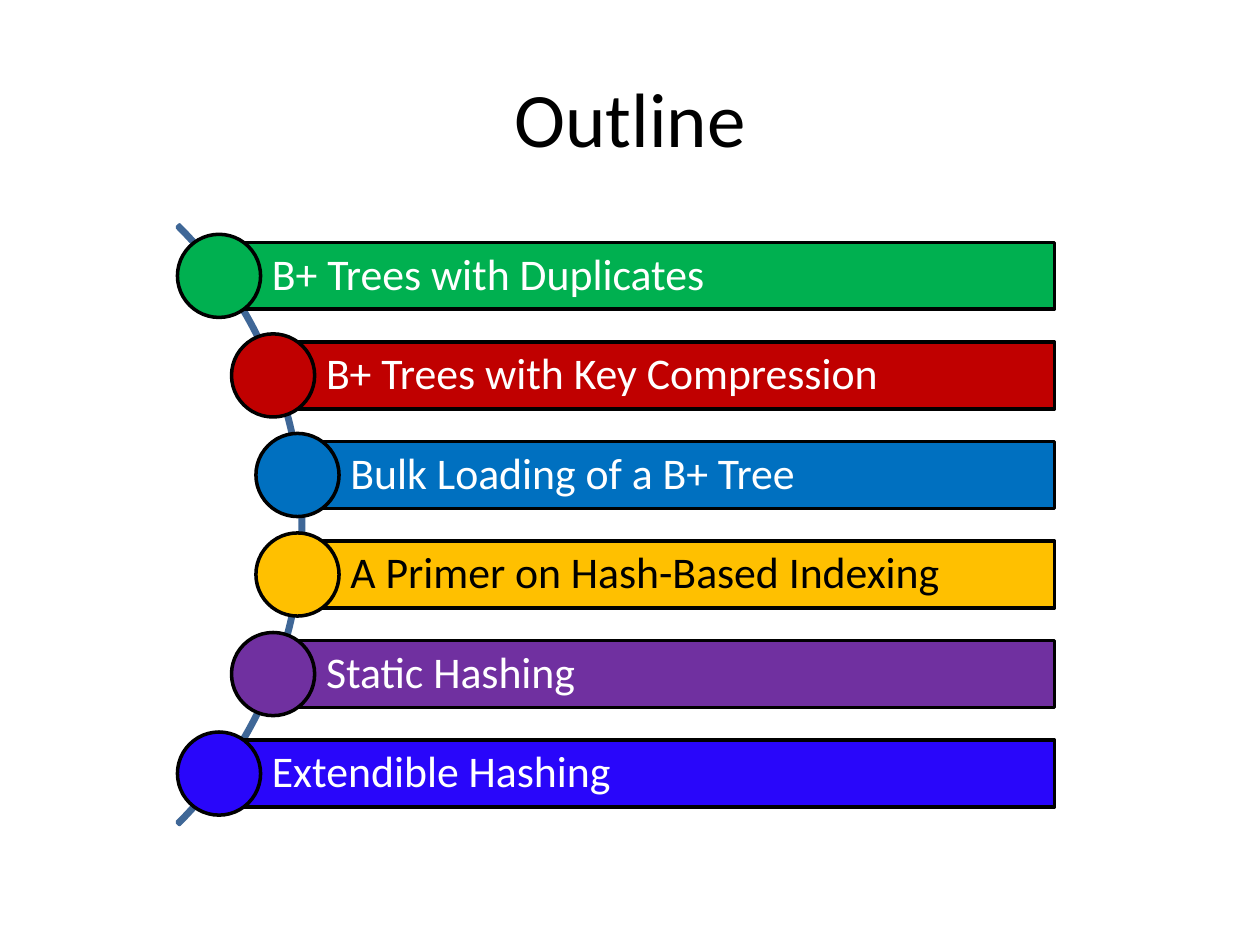
"""Build an outline slide whose topics follow a curved spine."""
from math import sqrt

from pptx import Presentation
from pptx.dml.color import RGBColor
from pptx.enum.shapes import MSO_SHAPE as Preset
from pptx.enum.text import MSO_ANCHOR as Anchor, PP_ALIGN as Align
from pptx.util import Inches, Pt

COLORS = {
    "black": "000000", "white": "FFFFFF", "spine": "3F6797",
    "green": "00B050", "red": "C00000", "blue": "0070C0",
    "gold": "FFC000", "purple": "7030A0", "indigo": "2906FA",
}
TOPICS = [
    ("B+ Trees with Duplicates", "green", "white"),
    ("B+ Trees with Key Compression", "red", "white"),
    ("Bulk Loading of a B+ Tree", "blue", "white"),
    ("A Primer on Hash-Based Indexing", "gold", "black"),
    ("Static Hashing", "purple", "white"),
    ("Extendible Hashing", "indigo", "white"),
]
SPINE_LEFT, SPINE_TOP, SPINE_SIZE = -4.32, 0.8, 6.73
CENTER_X = SPINE_LEFT + SPINE_SIZE / 2
CENTER_Y = SPINE_TOP + SPINE_SIZE / 2
RADIUS = 3.34
PITCH = 0.79
BAR_RIGHT, BAR_HEIGHT = 8.37, 0.53
CIRCLE_SIZE = 0.66


def color(name):
    return RGBColor.from_string(COLORS[name])


def set_values(target, values):
    for name, value in values.items():
        setattr(target, name, value)


def write_text(shape, text, size, text_color, frame_format, paragraph_format):
    frame = shape.text_frame
    set_values(frame, {"word_wrap": True, "vertical_anchor": Anchor.MIDDLE, **frame_format})
    paragraph = frame.paragraphs[0]
    set_values(paragraph, paragraph_format)
    run = paragraph.add_run()
    run.text = text
    set_values(run.font, {"name": "Calibri", "size": Pt(size)})
    run.font.color.rgb = color(text_color)


def add_shape(slide, preset, box, fill=None, line="black"):
    shape = slide.shapes.add_shape(preset, *map(Inches, box))
    shape.shadow.inherit = False
    if fill:
        shape.fill.solid()
        shape.fill.fore_color.rgb = color(fill)
    else:
        shape.fill.background()
    shape.line.color.rgb = color(line)
    shape.line.width = Pt(2)
    return shape


def add_title(slide, text):
    title = slide.shapes.title
    set_values(title, {"left": Inches(0.5), "top": Inches(0.3),
                       "width": Inches(9), "height": Inches(1.25)})
    write_text(title, text, 44, "black", {}, {"alignment": Align.CENTER})


def add_spine(slide):
    box = (SPINE_LEFT, SPINE_TOP, SPINE_SIZE, SPINE_SIZE)
    spine = add_shape(slide, Preset.BLOCK_ARC, box, line="spine")
    for index, value in enumerate((189, 27, 0.004)):
        spine.adjustments[index] = value


def add_topic(slide, index, text, fill, text_color):
    offset = (index - (len(TOPICS) - 1) / 2) * PITCH
    x, y = CENTER_X + sqrt(RADIUS ** 2 - offset ** 2), CENTER_Y + offset
    bar = add_shape(slide, Preset.RECTANGLE,
                    (x, y - BAR_HEIGHT / 2, BAR_RIGHT - x, BAR_HEIGHT), fill)
    margins = {"margin_left": Inches(0.42), "margin_right": Inches(0.07),
               "margin_top": Inches(0.07), "margin_bottom": Inches(0.07)}
    write_text(bar, text, 25, text_color, margins,
               {"alignment": Align.LEFT, "line_spacing": 0.9})
    add_shape(slide, Preset.OVAL,
              (x - CIRCLE_SIZE / 2, y - CIRCLE_SIZE / 2, CIRCLE_SIZE, CIRCLE_SIZE), fill)


def main():
    presentation = Presentation()
    set_values(presentation, {"slide_width": Inches(10), "slide_height": Inches(7.5)})
    slide = presentation.slides.add_slide(presentation.slide_layouts[5])
    add_title(slide, "Outline")
    add_spine(slide)
    for index, topic in enumerate(TOPICS):
        add_topic(slide, index, *topic)
    presentation.save("out.pptx")


main()
